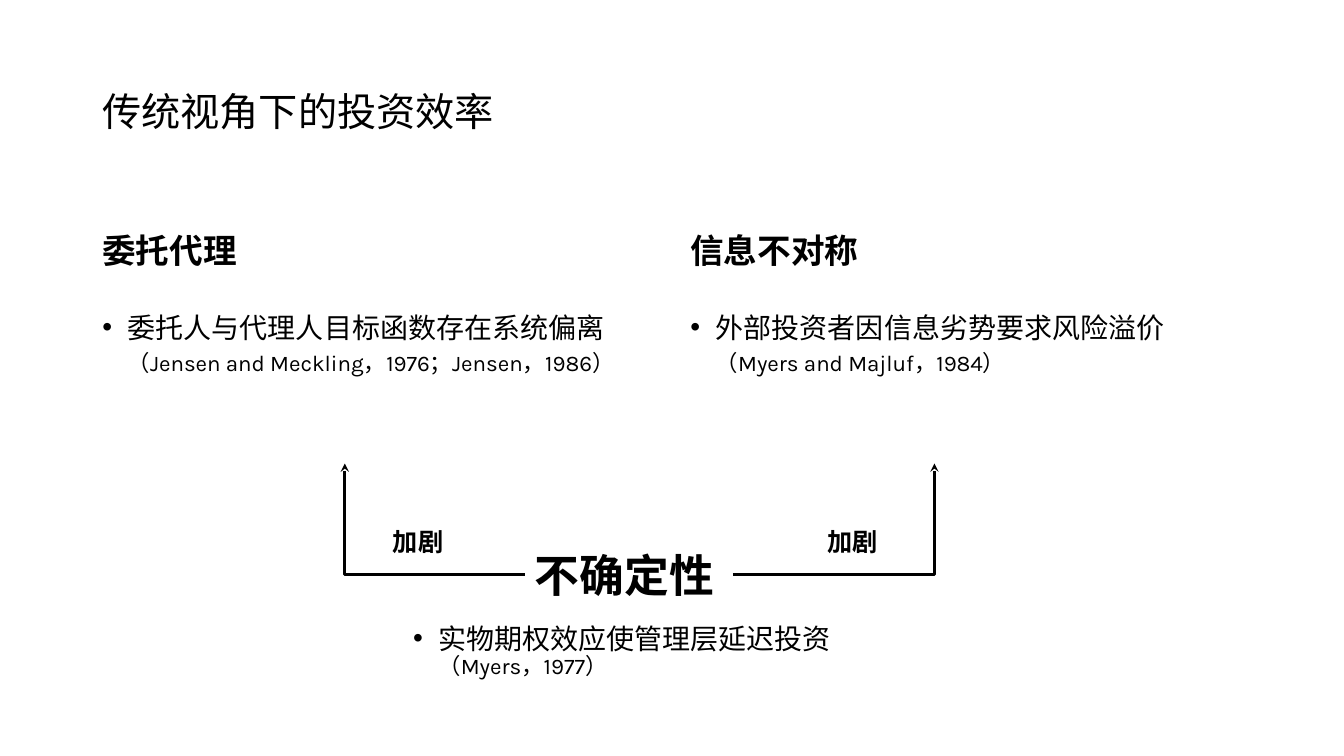
from lxml import etree
from pptx import Presentation
from pptx import util as u
from pptx.dml.color import RGBColor
from pptx.enum import shapes, text
from pptx.oxml import ns

THEME = {
    "font": "Karla",
    "ink": RGBColor(0, 0, 0),
    "title": 28,
    "head": 24,
    "item": 20,
    "cite": 16,
    "core": 32,
    "tag": 18,
    "line": 2,
}
ANCHOR = text.MSO_ANCHOR

deck = Presentation()
deck.slide_width, deck.slide_height = u.Cm(33.87), u.Cm(19.05)
slide = deck.slides.add_slide(deck.slide_layouts[6])


def put(place, runs, bold=False, lead=1.0, bullet=False, **frame):
    """Add a one-paragraph text box; runs are (words, theme size) pairs."""
    box = slide.shapes.add_textbox(*map(u.Cm, place)).text_frame
    for name, value in {"word_wrap": True, **frame}.items():
        setattr(box, name, value)
    para = box.paragraphs[0]
    para.line_spacing = lead
    if bullet:
        props = para._p.get_or_add_pPr()
        props.set("marL", str(u.Cm(0.64)))
        props.set("indent", str(u.Cm(-0.64)))
        etree.SubElement(props, ns.qn("a:buFont")).set("typeface", "Arial")
        etree.SubElement(props, ns.qn("a:buChar")).set("char", "•")
    for words, size in runs:
        run = para.add_run()
        run.text = words
        run.font.color.rgb = THEME["ink"]
        form = {"name": THEME["font"], "size": u.Pt(THEME[size]), "bold": bold}
        for name, value in form.items():
            setattr(run.font, name, value)


put((2.33, 1.02, 29.21, 3.68), [("传统视角下的投资效率", "title")],
    lead=0.9, vertical_anchor=ANCHOR.MIDDLE)

# Two causes side by side
causes = [
    (2.33, 14.33, "委托代理", "委托人与代理人目标函数存在系统偏离",
     "（Jensen and Meckling，1976；Jensen，1986）"),
    (17.15, 14.4, "信息不对称", "外部投资者因信息劣势要求风险溢价",
     "（Myers and Majluf，1984）"),
]
for left, width, head, item, cite in causes:
    put((left, 4.67, width, 2.29), [(head, "head")],
        bold=True, lead=0.9, vertical_anchor=ANCHOR.BOTTOM)
    put((left, 7.52, width, 5.44), [(item, "item"), (cite, "cite")],
        lead=1.2, bullet=True)

# Uncertainty, which worsens both
grow = {"auto_size": text.MSO_AUTO_SIZE.SHAPE_TO_FIT_TEXT}
put((13.23, 13.67, 5.24, 1.62), [("不确定性", "core")], bold=True, **grow)
for left in (9.65, 20.6):
    put((left, 13.13, 1.94, 1.02), [("加剧", "tag")], bold=True, **grow)
put((10.16, 15.62, 11.4, 2.79),
    [("实物期权效应使管理层延迟投资", "item"), ("（Myers，1977）", "cite")],
    lead=0.9, bullet=True)

# Elbow arrows: corner points, then the turn in degrees
arrows = [
    ((8.69, 11.68, 13.23, 14.48), 180),
    ((18.47, 14.48, 23.55, 11.68), 0),
]
for ends, turn in arrows:
    arrow = slide.shapes.add_connector(
        shapes.MSO_CONNECTOR.ELBOW, *map(u.Cm, ends))
    arrow.line.width = u.Pt(THEME["line"])
    arrow.line.color.rgb = THEME["ink"]
    props = arrow._element.spPr
    props.find(ns.qn("a:prstGeom")).set("prst", "bentConnector2")
    props.find(ns.qn("a:xfrm")).set("rot", str(turn * 60000))
    tip = etree.SubElement(props.find(ns.qn("a:ln")), ns.qn("a:tailEnd"))
    tip.set("type", "stealth")
    etree.SubElement(props, ns.qn("a:effectLst"))

deck.save("out.pptx")
